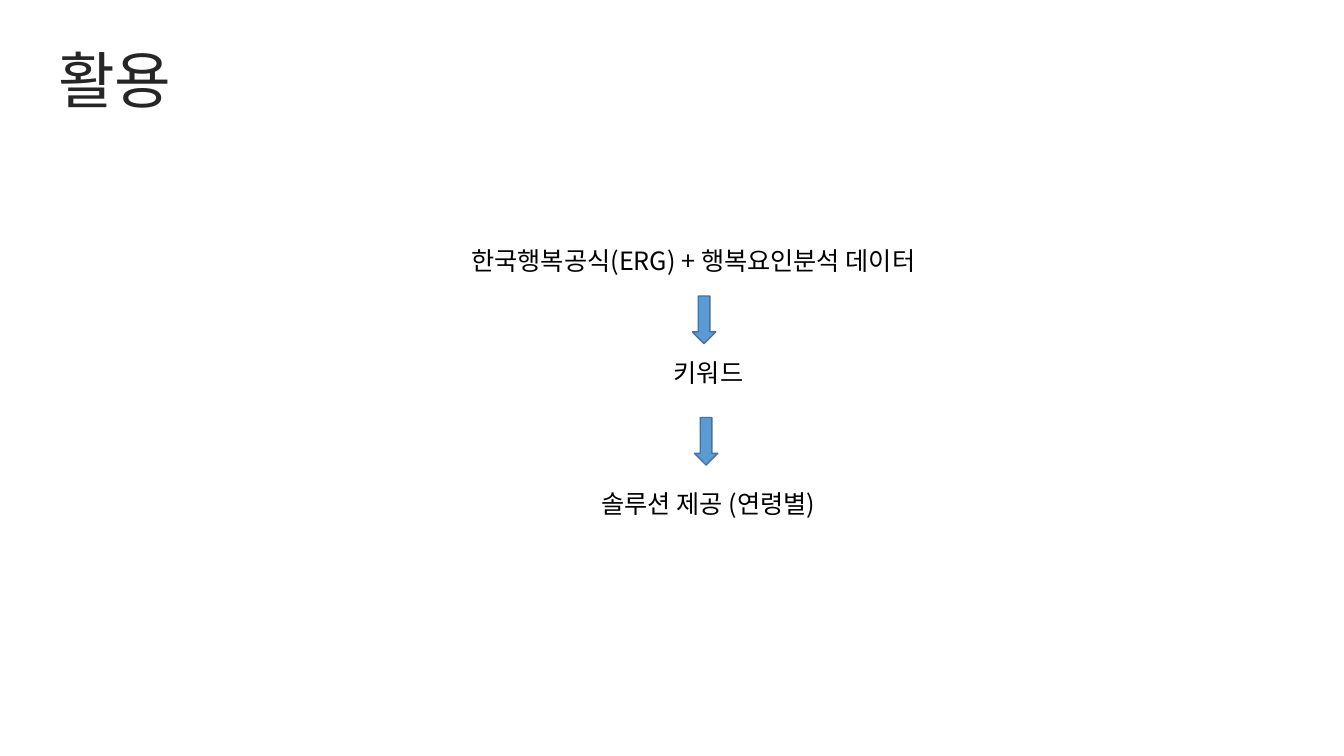
from lxml import etree
from pptx import Presentation
from pptx import util as u
from pptx.dml.color import RGBColor
from pptx.enum import shapes, text
from pptx.oxml.ns import qn

FONT = "Noto Sans CJK KR"
TITLE = "활용"
# wording, left, top (cm)
STEPS = [
    ("한국행복공식(ERG) + 행복요인분석 데이터", 11.38, 6.05),
    ("키워드", 11.76, 8.89),
    ("솔루션 제공 (연령별)", 11.76, 12.17),
]
STEP_SIZE = (12.19, 1.02)
# left, top (cm)
ARROWS = [(17.45, 7.46), (17.5, 10.52)]
ARROW_SIZE = (0.59, 1.2)


def color(value):
    return RGBColor.from_string(value)


def lengths(*values):
    return [u.Cm(value) for value in values]


def add_text(frame, words, size, ink, align):
    para = frame.paragraphs[0]
    para.alignment = align
    span = para.add_run()
    span.text = words
    span.font.name = FONT
    span.font.size = u.Pt(size)
    span.font.color.rgb = color(ink)
    properties = span._r.get_or_add_rPr()
    etree.SubElement(properties, qn("a:ea"), typeface=FONT)
    return properties


def add_title(page):
    title = page.shapes.title
    title.left, title.top, title.width, title.height = lengths(0.94, 1.02, 21.16, 1.93)
    frame = title.text_frame
    frame.auto_size = text.MSO_AUTO_SIZE.NONE
    frame.vertical_anchor = text.MSO_ANCHOR.MIDDLE
    frame.margin_left = u.Cm(0.54)
    properties = add_text(frame, TITLE, 44, "262626", text.PP_ALIGN.LEFT)
    properties.set("spc", "-70")


def add_step(page, words, left, top):
    box = page.shapes.add_textbox(*lengths(left, top, *STEP_SIZE))
    frame = box.text_frame
    frame.word_wrap = True
    frame.auto_size = text.MSO_AUTO_SIZE.SHAPE_TO_FIT_TEXT
    add_text(frame, words, 18, "000000", text.PP_ALIGN.CENTER)


def add_arrow(page, left, top):
    arrow = page.shapes.add_shape(
        shapes.MSO_SHAPE.DOWN_ARROW, *lengths(left, top, *ARROW_SIZE)
    )
    arrow.shadow.inherit = False
    arrow.fill.solid()
    arrow.fill.fore_color.rgb = color("5B9BD5")
    arrow.line.color.rgb = color("43739E")
    arrow.line.width = u.Pt(1)


def main():
    deck = Presentation()
    deck.slide_width, deck.slide_height = lengths(33.87, 19.05)
    page = deck.slides.add_slide(deck.slide_layouts.get_by_name("Title Only"))
    add_title(page)
    for step in STEPS:
        add_step(page, *step)
    for arrow in ARROWS:
        add_arrow(page, *arrow)
    deck.save("out.pptx")


if __name__ == "__main__":
    main()
